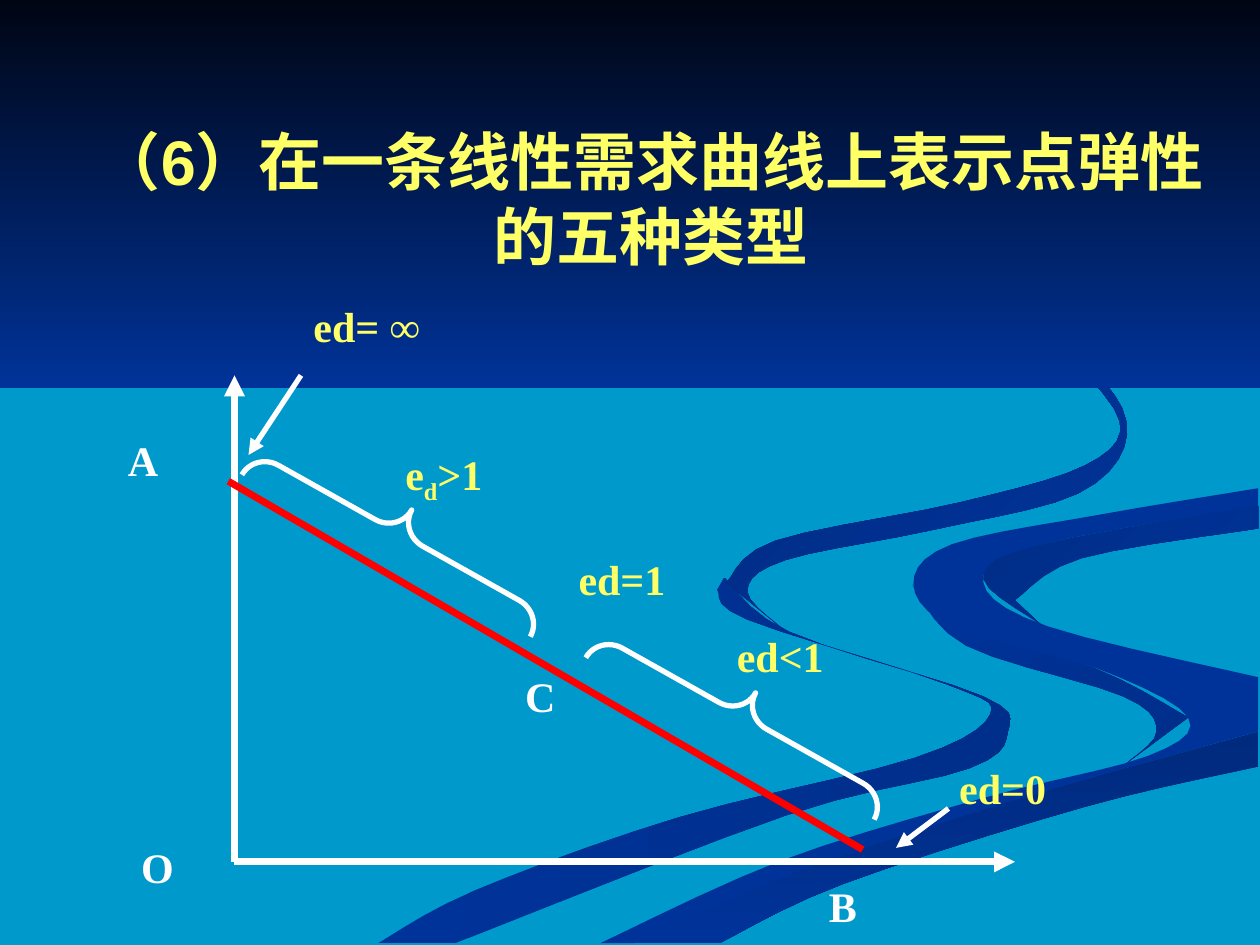
import pptx
import pptx.dml.color
import pptx.enum.shapes
import pptx.enum.text
import pptx.oxml.ns
import pptx.util
from lxml import etree

Pt = pptx.util.Pt
COLORS = {
    "sea": "0099CC", "night": "000514", "blue": "003399",
    "shade_1": "002E8B", "shade_2": "002A7D", "shade_3": "002D86", "shade_4": "002B82",
    "yellow": "FFFF66", "white": "FFFFFF", "red": "FF0000",
}
CURVE_STEPS = 5
RIVER_SEAM = [(719, 418), (574, 459), (454, 499), (362, 539)]

# Each ribbon: smooth edges joined in order, start colour, end colour, clockwise angle
RIBBONS = [
    ([[(414, 330), (451, 361), (562, 398), (576, 418), (554, 439), (449, 466), (260, 539)],
      [(216, 539), (271, 509), (388, 467), (523, 433), (566, 408), (541, 391), (427, 354),
       (410, 337)]], "blue", "shade_1", 0),
    ([[(521, 334), (552, 369), (642, 398), (661, 418), (644, 436)],
      [(679, 410), (626, 382), (536, 353)]], "blue", "shade_1", 45),
    ([RIVER_SEAM, [(411, 539), (482, 505), (620, 461), (719, 438)]], "shade_2", "blue", 90),
    ([RIVER_SEAM,
      [(343, 539), (446, 492), (562, 456), (656, 432), (679, 410), (627, 382), (546, 359),
       (522, 334), (544, 311), (629, 294), (719, 279)],
      [(719, 289), (592, 312), (562, 333), (599, 358), (719, 387)]], "blue", "blue", 0),
    ([[(719, 289), (592, 312), (562, 331), (595, 357)],
      [(580, 343), (618, 319), (719, 302)]], "shade_3", "blue", 45),
    ([[(549, 168), (622, 210), (644, 248), (616, 282), (532, 303), (449, 320), (427, 338),
       (448, 360)],
      [(415, 333), (443, 309), (549, 287), (620, 266), (640, 241), (609, 201)]],
     "shade_4", "blue", 45),
]


def rgb(color):
    return pptx.dml.color.RGBColor.from_string(COLORS[color])


def smooth(edge):
    """Return points of a Catmull-Rom curve through the edge."""
    padded = [edge[0], *edge, edge[-1]]
    curve = []
    for around in zip(padded, padded[1:], padded[2:], padded[3:]):
        for step in range(CURVE_STEPS):
            t = step / CURVE_STEPS
            curve.append(tuple(
                b + t * (c - a + t * (2 * a - 5 * b + 4 * c - d
                                      + t * (3 * b - a - 3 * c + d))) / 2
                for a, b, c, d in zip(*around)))
    return curve + [edge[-1]]


class ElasticitySlide:
    def __init__(self, slide):
        self.slide = slide
        self.shapes = slide.shapes
        self.title_font, self.label_font = "Arial", "Times New Roman"
        slide.background.fill.solid()
        slide.background.fill.fore_color.rgb = rgb("sea")

    def style_font(self, font, name, size, color):
        font.name, font.size, font.bold = name, Pt(size), True
        font.color.rgb = rgb(color)

    def shade(self, area, start, end, angle):
        area.shadow.inherit = False
        area.line.fill.background()
        if start == end:
            area.fill.solid()
            area.fill.fore_color.rgb = rgb(start)
            return
        area.fill.gradient()
        area.fill.gradient_angle = -angle % 360
        for stop, color in zip(area.fill.gradient_stops, (start, end)):
            stop.color.rgb = rgb(color)

    def ribbon(self, edges, start, end, angle):
        outline = [(Pt(x), Pt(y)) for edge in edges for x, y in smooth(edge)]
        builder = self.shapes.build_freeform(*outline[0])
        builder.add_line_segments(outline[1:], close=True)
        self.shade(builder.convert_to_shape(), start, end, angle)

    def sky(self, width, height):
        sky = self.shapes.add_shape(pptx.enum.shapes.MSO_SHAPE.RECTANGLE,
                                    Pt(0), Pt(0), Pt(width), Pt(height))
        self.shade(sky, "night", "blue", 90)

    def title(self, text, left, top, width, height):
        title = self.shapes.title
        # The title has to lie above the background
        self.shapes._spTree.append(title._element)
        title.left, title.top, title.width, title.height = map(Pt, (left, top, width, height))
        frame = title.text_frame
        frame.text = text
        frame.word_wrap = True
        frame.auto_size = pptx.enum.text.MSO_AUTO_SIZE.NONE
        frame.vertical_anchor = pptx.enum.text.MSO_ANCHOR.MIDDLE
        frame.paragraphs[0].alignment = pptx.enum.text.PP_ALIGN.CENTER
        self.style_font(frame.paragraphs[0].runs[0].font, self.title_font, 36, "yellow")

    def line(self, start, end, color="white", weight=4, arrow=True):
        connector = self.shapes.add_connector(
            pptx.enum.shapes.MSO_CONNECTOR.STRAIGHT, *map(Pt, start + end))
        connector.line.color.rgb = rgb(color)
        connector.line.width = Pt(weight)
        properties = connector._element.spPr
        qn = pptx.oxml.ns.qn
        if arrow:
            etree.SubElement(properties.find(qn("a:ln")), qn("a:tailEnd"), type="triangle")
        etree.SubElement(properties, qn("a:effectLst"))

    def brace(self, left, top):
        brace = self.shapes.add_shape(pptx.enum.shapes.MSO_SHAPE.RIGHT_BRACE,
                                      Pt(left), Pt(top), Pt(30), Pt(189))
        brace.adjustments[0] = 0.52
        brace.rotation = 299.3
        brace.shadow.inherit = False
        brace.fill.background()
        brace.line.color.rgb = rgb("white")
        brace.line.width = Pt(3)

    def label(self, parts, left, top, width, height=36, color="yellow"):
        """Add a label; the second of several parts is a subscript."""
        box = self.shapes.add_textbox(Pt(left), Pt(top), Pt(width), Pt(height))
        box.text_frame.word_wrap = True
        for index, part in enumerate(parts):
            run = box.text_frame.paragraphs[0].add_run()
            run.text = part
            self.style_font(run.font, self.label_font, 24, color)
            if index == 1:
                run._r.get_or_add_rPr().set("baseline", "-25000")


def main():
    deck = pptx.Presentation()
    deck.slide_width, deck.slide_height = Pt(720), Pt(540)
    page = ElasticitySlide(deck.slides.add_slide(deck.slide_layouts[5]))

    for ribbon in RIBBONS:
        page.ribbon(*ribbon)
    page.sky(720, 222)
    page.title("（6）在一条线性需求曲线上表示点弹性的五种类型", 42, 66, 660, 94)

    origin = (134, 492.5)
    page.line(origin, (580, 492.5))
    page.line(origin, (134, 214.5))
    page.line((130.5, 275), (493, 485.5), "red", arrow=False)

    for point, left, top, width in [("A", 66, 245, 68), ("O", 73.5, 477.5, 60),
                                    ("B", 466.5, 499.5, 68), ("C", 293, 379.5, 37.5)]:
        page.label([point], left, top, width, color="white")

    page.brace(213, 210)
    page.brace(409.5, 314.5)
    for parts, left, top, width in [(["e", "d", ">1"], 224.5, 252.5, 159),
                                    (["ed<1"], 414, 357, 166),
                                    (["ed=1"], 323.5, 312.5, 159),
                                    (["ed=0"], 541, 432, 107)]:
        page.label(parts, left, top, width, 80)
    page.label(["ed= ∞"], 172, 168, 151)
    page.line((172, 214.5), (142, 260), weight=3)
    page.line((542, 462), (512, 484.5), weight=3)

    deck.save("out.pptx")


if __name__ == "__main__":
    main()
